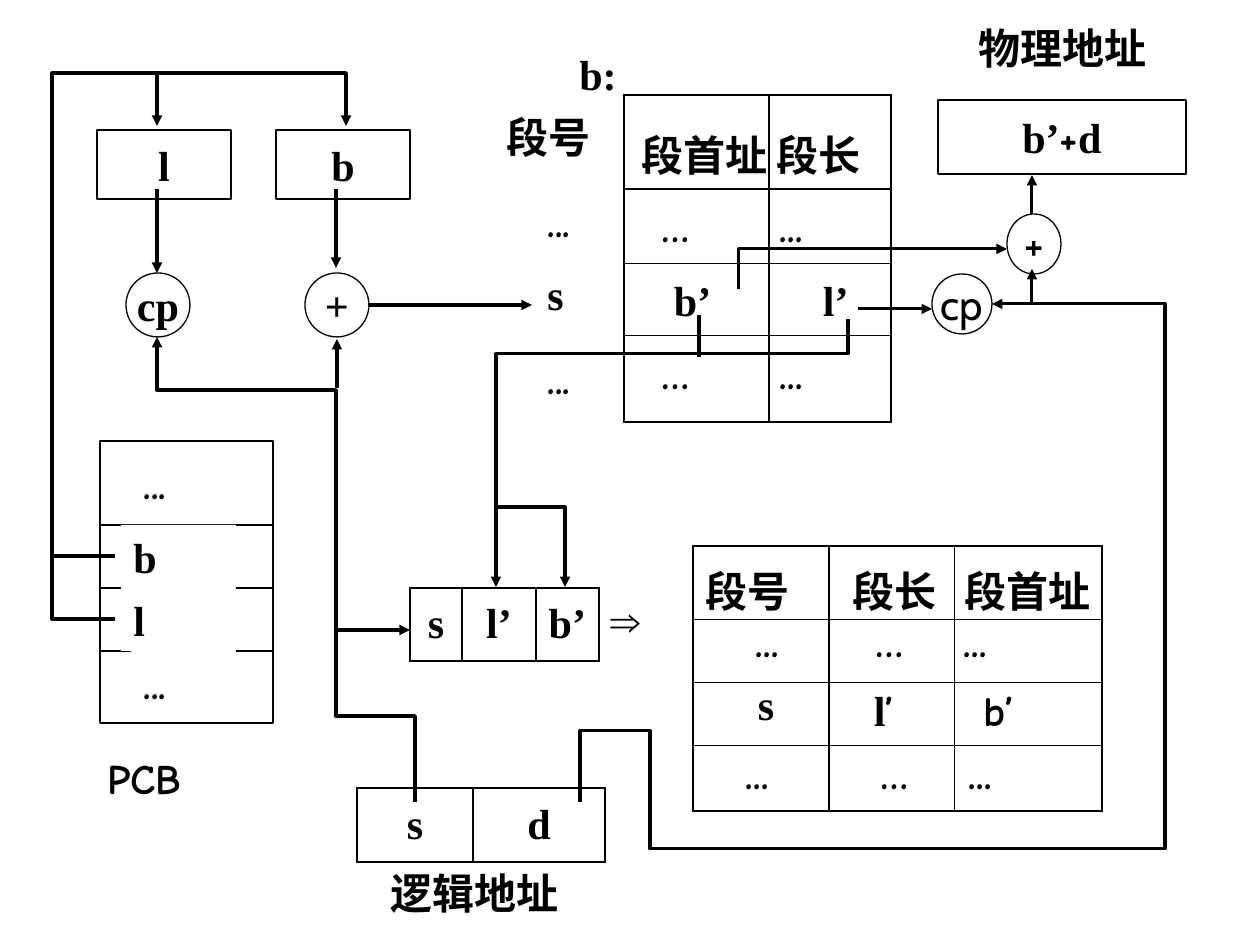
from lxml.etree import SubElement
from pptx import Presentation
from pptx.dml.color import RGBColor
from pptx.enum.shapes import MSO_CONNECTOR, MSO_SHAPE
from pptx.enum.text import MSO_ANCHOR, PP_ALIGN
from pptx.oxml.ns import qn
from pptx.util import Inches, Pt

PX = 914400 // 126
BLACK = RGBColor(0, 0, 0)
WHITE = RGBColor(255, 255, 255)
TIMES, COMIC, CABIN = "Times New Roman", "Comic Neue", "Cabin"

prs = Presentation()
prs.slide_width, prs.slide_height = Inches(10), Inches(7.5)
shapes = prs.slides.add_slide(prs.slide_layouts[6]).shapes


def write(frame, runs, centred=False):
    """Put (text, font) runs into the frame's first paragraph."""
    paragraph = frame.paragraphs[0]
    paragraph.alignment = PP_ALIGN.CENTER if centred else PP_ALIGN.LEFT
    for text, font in runs:
        run = paragraph.add_run()
        run.text = text
        run.font.size = Pt(24)
        run.font.name = font
        run.font.bold = font != CABIN
        run.font.color.rgb = BLACK


def stroke(shape, weight, arrow=False):
    """Give a black line without shadow, with an optional arrowhead at its end."""
    shape.line.color.rgb = BLACK
    shape.line.width = Pt(weight)
    if arrow:
        SubElement(shape.line._get_or_add_ln(), qn("a:tailEnd"), type="triangle")
    SubElement(shape._element.spPr, qn("a:effectLst"))


# Tables: left, top, column widths, row heights, inner line weight, rows of cells.
# A cell is its runs, and a left and top inset; without insets it is centred.
ellipsis, dots = [("…", COMIC)], [("...", COMIC)]
segment_table = [
    [([("段首址", TIMES)], 18, 28), ([("段长", TIMES)], 8, 28)],
    [(ellipsis, 38, 16), (dots, 11, 16)],
    [([("b’", TIMES)], 50, 15), ([("l’", TIMES)], 54, 15)],
    [(ellipsis, 38, 16), (dots, 11, 16)],
]
fast_table = [
    [([("段号", TIMES)], 13, 13), ([("段长", TIMES)], 24, 13), ([("段首址", TIMES)], 10, 13)],
    [(dots, 63, 0), (ellipsis, 47, 0), (dots, 9, 0)],
    [([("s", TIMES)], 65, 0), ([("l", TIMES), ("’", COMIC)], 45, 6), ([("b’", COMIC)], 29, 6)],
    [(dots, 53, 6), (ellipsis, 52, 6), (dots, 14, 6)],
]
fast_entry = [[([(text, TIMES)],) for text in ("s", "l’", "b’")]]
logical_address = [[([(text, TIMES)],) for text in ("s", "d")]]

for left, top, widths, heights, inner, rows in (
    (624, 95, (145, 122), (94, 75, 72, 86), 0.75, segment_table),
    (693, 546, (136, 126, 147), (74, 63, 63, 65), 0.75, fast_table),
    (410, 588, (52, 74, 63), (73,), 0.75, fast_entry),
    (357, 788, (116, 132), (74,), 1.25, logical_address),
):
    table = shapes.add_table(len(heights), len(widths), left * PX, top * PX,
                             sum(widths) * PX, sum(heights) * PX).table
    table.first_row = table.horz_banding = False
    for column, width in zip(table.columns, widths):
        column.width = width * PX
    for row, height in zip(table.rows, heights):
        row.height = height * PX
    for r, row in enumerate(rows):
        for c, (runs, *insets) in enumerate(row):
            cell = table.cell(r, c)
            cell.margin_left = cell.margin_right = cell.margin_top = cell.margin_bottom = 0
            if insets:
                cell.margin_left, cell.margin_top = (inset * PX for inset in insets)
            else:
                cell.vertical_anchor = MSO_ANCHOR.MIDDLE
            write(cell.text_frame, runs, centred=not insets)
            edges = {"a:lnL": c == 0, "a:lnR": c == len(widths) - 1,
                     "a:lnT": r == 0, "a:lnB": r == len(heights) - 1}
            for edge, is_outer in edges.items():
                border = SubElement(cell._tc.get_or_add_tcPr(), qn(edge),
                                    w=str(Pt(1.25 if is_outer else inner)))
                colour = SubElement(border, qn("a:solidFill"))
                SubElement(colour, qn("a:srgbClr"), val=str(BLACK))
            cell.fill.solid()
            cell.fill.fore_color.rgb = WHITE

# Registers, process control block, adders and comparators
RECT, OVAL = MSO_SHAPE.RECTANGLE, MSO_SHAPE.OVAL
for kind, left, top, width, height, weight, runs in (
    (RECT, 97, 130, 134, 69, 1.25, [("l", TIMES)]),
    (RECT, 276, 130, 134, 69, 1.25, [("b", TIMES)]),
    (RECT, 100, 441, 173, 282, 1.25, []),
    (RECT, 938, 100, 248, 74, 1.25, [("b’", TIMES), ("+", COMIC), ("d", TIMES)]),
    (OVAL, 126, 273, 64, 64, 0.75, [("cp", TIMES)]),
    (OVAL, 305, 273, 64, 64, 0.75, [("+", TIMES)]),
    (OVAL, 932, 274, 60, 60, 0.75, [("cp", CABIN)]),
    (OVAL, 1007, 214, 54, 60, 0.75, [("+", CABIN)]),
):
    part = shapes.add_shape(kind, left * PX, top * PX, width * PX, height * PX)
    part.fill.solid()
    part.fill.fore_color.rgb = WHITE
    stroke(part, weight)
    part.text_frame.word_wrap = False
    part.text_frame.vertical_anchor = MSO_ANCHOR.MIDDLE
    write(part.text_frame, runs, centred=True)

# Straight lines: x1, y1, x2, y2, weight, arrow
pcb_rules = [(100, y, 273, y, 0.75, False) for y in (525, 588, 651)]
for x1, y1, x2, y2, weight, arrow in pcb_rules + [
    (157, 189, 157, 273, 2, True),
    (336, 189, 336, 268, 2, True),
    (368, 305, 532, 305, 2, True),
    (337, 388, 337, 339, 1.75, True),
    (336, 630, 410, 630, 2, True),
    (699, 315, 699, 357, 2, False),
    (858, 309, 932, 309, 1.75, True),
    (1032, 214, 1032, 175, 1.75, True),
    (1032, 304, 1032, 269, 1.75, True),
]:
    line = shapes.add_connector(MSO_CONNECTOR.STRAIGHT, x1 * PX, y1 * PX, x2 * PX, y2 * PX)
    stroke(line, weight, arrow)

# Labels: text, font, left, top, width, white ground
for text, font, left, top, width, on_white in (
    ("...", COMIC, 131, 451, 105, True),
    ("b", TIMES, 121, 525, 115, True),
    ("l", TIMES, 121, 588, 115, True),
    ("...", COMIC, 131, 651, 105, True),
    ("PCB", COMIC, 95, 746, 126, False),
    ("b:", TIMES, 567, 42, 70, False),
    ("段号", TIMES, 494, 105, 126, False),
    ("...", COMIC, 535, 189, 84, False),
    ("s", TIMES, 535, 262, 84, False),
    ("...", COMIC, 535, 346, 84, False),
    ("物理地址", TIMES, 966, 16, 210, False),
    ("逻辑地址", TIMES, 378, 861, 210, False),
    ("⇒", "Arial", 598, 588, 64, False),
):
    label = shapes.add_textbox(left * PX, top * PX, width * PX, 63 * PX)
    label.text_frame.word_wrap = True
    if on_white:
        label.fill.solid()
        label.fill.fore_color.rgb = WHITE
    write(label.text_frame, [(text, font)])

# Bent arrows: weight, then the corner points
for weight, start, *corners in (
    (2, (115, 556), (52, 556), (52, 73), (346, 73), (346, 126)),
    (2, (115, 619), (52, 619), (52, 73), (157, 73), (157, 126)),
    (2, (415, 802), (415, 716), (336, 716), (336, 390), (157, 390), (157, 337)),
    (1.75, (848, 319), (848, 354), (496, 354), (496, 587)),
    (1.75, (496, 507), (565, 507), (565, 587)),
    (1.75, (739, 289), (739, 249), (1007, 249)),
    (1.75, (580, 802), (580, 731), (650, 731), (650, 849), (1165, 849), (1165, 304), (992, 304)),
):
    outline = shapes.build_freeform(*start, scale=PX)
    outline.add_line_segments(corners, close=False)
    bent_arrow = outline.convert_to_shape()
    bent_arrow.fill.background()
    stroke(bent_arrow, weight, arrow=True)

prs.save("out.pptx")
